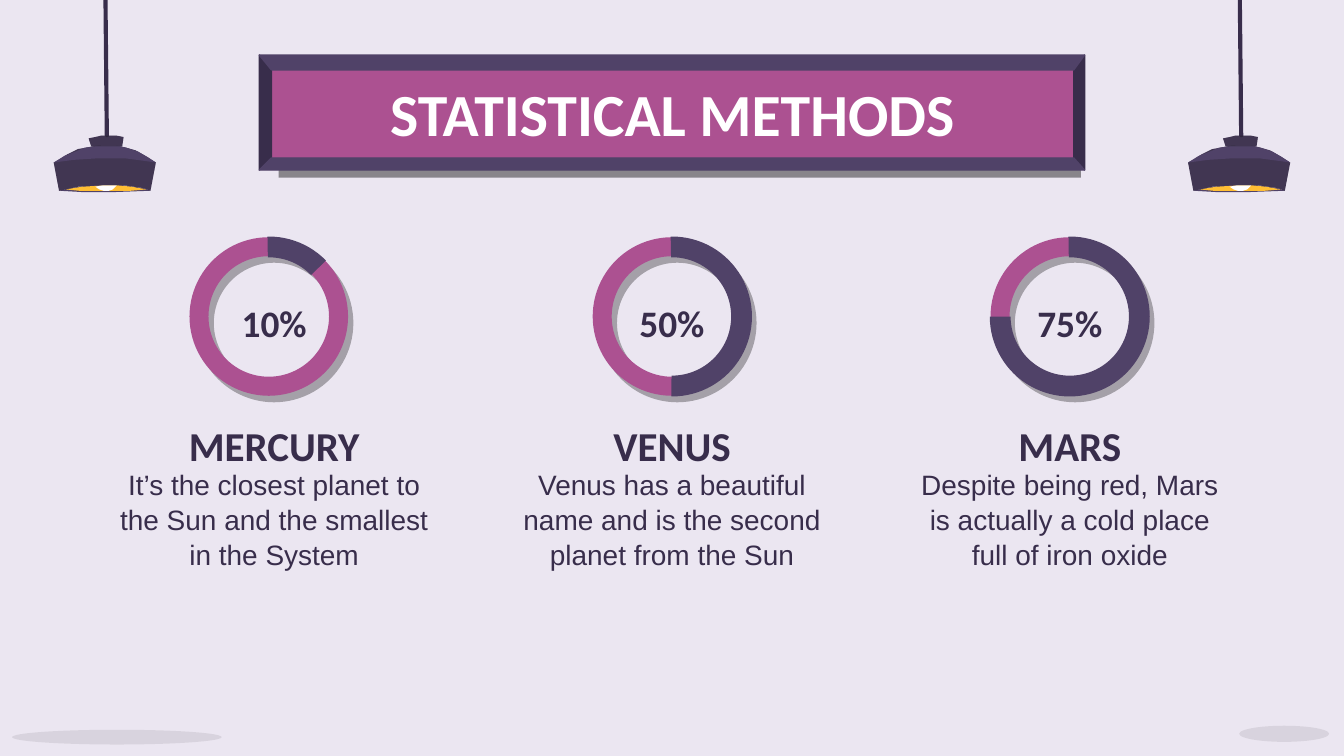
from lxml import etree
from pptx import Presentation
from pptx.dml.color import RGBColor
from pptx.enum.shapes import MSO_SHAPE
from pptx.enum.text import MSO_ANCHOR, MSO_AUTO_SIZE, PP_ALIGN
from pptx.oxml.ns import qn
from pptx.util import Inches, Pt

DONUT, ARC, OVAL = MSO_SHAPE.DONUT, MSO_SHAPE.BLOCK_ARC, MSO_SHAPE.OVAL
CENTER, MIDDLE, NO_FIT = PP_ALIGN.CENTER, MSO_ANCHOR.MIDDLE, MSO_AUTO_SIZE.NONE
TITLE_ONLY = 5
COLUMNS = 100
HEADING, BODY = "Calibri", "Arial"
COLORS = {"paper": "EBE6F1", "plum": "504268", "dark": "382D4B", "pink": "AC5191",
          "white": "FFFFFF", "amber": "FFBE34", "shade": "191919", "black": "000000"}

# Lamp outlines, in grid units, measured from the top of the cord.
SHADE = [(-0.3, 10.8), (-0.9, 10.9), (-1.4, 11), (-2, 11.1), (-2.8, 11.5), (-3.4, 11.9),
         (-3.8, 12.1), (-3.4, 14.2), (-2, 13.9), (-0.7, 13.8), (1.5, 13.8), (2.9, 14),
         (3.4, 14.2), (3.8, 12.1), (3, 11.6), (2.3, 11.2), (1.6, 11), (0.7, 10.8)]
RIM = [(0, 13.7), (-1.2, 13.8), (-2.6, 14), (-3.4, 14.2), (-1.6, 14.3), (0.6, 14.3),
       (3.4, 14.2), (2.9, 14), (1.5, 13.8), (0.5, 13.7)]
GLOW = [(0, 13.8), (-1.7, 13.9), (-2.9, 14.1), (-1.9, 14.2), (1.9, 14.2), (3.1, 14.1),
        (2, 13.9), (1, 13.8)]
CAP = [(0.2, 10.1), (-0.3, 10.1), (-0.7, 10.2), (-1.2, 10.3), (-1, 10.9), (1.3, 10.9),
       (1.4, 10.2), (0.9, 10.1)]
CORD = [(0, 0), (0.1, 10.1), (0.2, 10.1), (0.1, 0)]
BULB = [(-0.2, 13.8), (-0.7, 13.9), (-0.4, 14.1), (-0.1, 14.2), (0.3, 14.2), (0.6, 14.1),
        (0.9, 13.8)]
DOME = [(-0.2, 10.8), (-0.8, 10.9), (-1.5, 11), (-2.2, 11.3), (-3, 11.6), (-3.8, 12.1),
        (-2.3, 11.9), (-0.7, 11.8), (1.6, 11.8), (3.1, 12), (3.8, 12.1), (3.2, 11.7),
        (2.5, 11.3), (1.6, 11), (0.8, 10.8)]

# Name, text, share shown, sweep in degrees, ring centre.
PLANETS = [
    ("MERCURY", "It’s the closest planet to the Sun and the smallest in the System",
     "10%", 46.5, 20),
    ("VENUS", "Venus has a beautiful name and is the second planet from the Sun",
     "50%", 181.4, 50),
    ("MARS", "Despite being red, Mars is actually a cold place full of iron oxide",
     "75%", 270.9, 79.6),
]


def rgb(name):
    return RGBColor.from_string(COLORS[name])


class Board:
    """Style and current slide; lengths are squares of a 100-column grid."""

    def __init__(self, prs):
        self.unit = prs.slide_width / COLUMNS
        self.slide = prs.slides.add_slide(prs.slide_layouts[TITLE_ONLY])
        self.shapes = self.slide.shapes
        fill = self.slide.background.fill
        fill.solid()
        fill.fore_color.rgb = rgb("paper")

    def grid(self, *lengths):
        return [round(n * self.unit) for n in lengths]

    def style(self, sp, fill, alpha=None, line=None, shadow=None):
        """Shadow is (opacity in percent, distance in points, angle in degrees)."""
        sp.fill.solid()
        sp.fill.fore_color.rgb = rgb(fill)
        if alpha:
            clr = sp._element.spPr.find(qn("a:solidFill"))[0]
            etree.SubElement(clr, qn("a:alpha"), val=str(alpha * 1000))
        if line:
            sp.line.color.rgb = rgb(fill)
            sp.line.width = Pt(line)
        else:
            sp.line.fill.background()
        sp.shadow.inherit = False
        if shadow:
            opacity, distance, angle = shadow
            effects = sp._element.spPr.find(qn("a:effectLst"))
            outer = etree.SubElement(effects, qn("a:outerShdw"), blurRad="0",
                                     dist=str(int(Pt(distance))), dir=str(angle * 60000),
                                     algn="bl", rotWithShape="0")
            clr = etree.SubElement(outer, qn("a:srgbClr"), val=COLORS["black"])
            etree.SubElement(clr, qn("a:alpha"), val=str(opacity * 1000))

    def shape(self, kind, box, fill, adjust=(), **style):
        sp = self.shapes.add_shape(kind, *self.grid(*box))
        for i, value in enumerate(adjust):
            sp.adjustments[i] = value
        self.style(sp, fill, **style)

    def outline(self, points, fill, dx=0, **style):
        start, *rest = [self.grid(x + dx, y) for x, y in points]
        builder = self.shapes.build_freeform(*start, scale=1.0)
        builder.add_line_segments(rest, close=True)
        self.style(builder.convert_to_shape(), fill, **style)

    def set_text(self, sp, text, size, color="dark", font=HEADING, spacing=1.0):
        tf = sp.text_frame
        tf.word_wrap = True
        tf.auto_size = NO_FIT
        tf.vertical_anchor = MIDDLE
        tf.margin_left = tf.margin_right = tf.margin_top = tf.margin_bottom = Inches(0.1)
        p = tf.paragraphs[0]
        p.text = text
        p.alignment = CENTER
        p.line_spacing = spacing
        p.font.name = font
        p.font.size = Pt(size)
        p.font.bold = font == HEADING
        p.font.color.rgb = rgb(color)

    def text(self, box, text, size, **style):
        self.set_text(self.shapes.add_textbox(*self.grid(*box)), text, size, **style)

    def title(self, box, text, size, color):
        sp = self.shapes.title
        sp.left, sp.top, sp.width, sp.height = self.grid(*box)
        self.set_text(sp, text, size, color)
        sp._element.getparent().append(sp._element)  # in front of the banner

    def lamp(self, x):
        for points, fill in ((SHADE, "plum"), (RIM, "plum"), (GLOW, "amber"), (CAP, "plum")):
            self.outline(points, fill, x)
        self.outline(CORD, "dark", x, line=1.5)
        self.outline(BULB, "white", x)
        self.outline(SHADE, "shade", x, alpha=27)
        self.outline(DOME, "plum", x)
        self.outline(CAP, "shade", x, alpha=27)

    def banner(self, outer, inner):
        """Bevelled frame between two rectangles given as left, top, right, bottom."""
        def corners(left, top, right, bottom):
            return [(left, top), (right, top), (right, bottom), (left, bottom)]

        out, inn = corners(*outer), corners(*inner)
        self.outline(inn, "pink", shadow=(41, 11.2, 70))
        for side, fill in ((3, "dark"), (1, "dark"), (2, "plum"), (0, "plum")):
            end = (side + 1) % 4
            self.outline([out[side], out[end], inn[end], inn[side]], fill, line=0.75)

    def ring(self, cx, cy, sweep):
        """Donut with an arc that runs clockwise from the top."""
        start = 269.06
        per_degree = 0.6  # 60000ths of a degree against 100000ths
        self.shape(DONUT, (cx - 5.9, cy - 5.9, 11.8, 11.8), "pink", [0.12],
                   shadow=(30, 4.5, 51))
        self.shape(ARC, (cx - 5.95, cy - 5.95, 11.9, 11.9), "plum",
                   [start * per_degree, (start + sweep) % 360 * per_degree, 0.13])

    def planet(self, cx, name, about, share, sweep, ring_x):
        self.ring(ring_x, 23.55, sweep)
        self.text((cx - 5.05, 22, 10.1, 4), share, 20)
        self.text((cx - 12.6, 31.1, 25.2, 4), name, 22)
        self.text((cx - 12.6, 34.9, 25.2, 7.4), about, 15, font=BODY, spacing=1.04)


def main():
    prs = Presentation()
    prs.slide_width = Inches(10)
    prs.slide_height = prs.slide_width * 9 // 16
    board = Board(prs)
    for x in (92.2, 7.8):
        board.lamp(x)
    for box in ((0.9, 54.3, 15.6, 1.1), (92.2, 54, 6.7, 1.2)):
        board.shape(OVAL, box, "black", alpha=8)
    board.banner((19.3, 4.1, 80.7, 12.65), (20.2, 5.2, 79.9, 11.75))
    board.title((7.9, 5.9, 84.3, 5), "STATISTICAL METHODS", 32, "white")
    for i, planet in enumerate(PLANETS):
        board.planet(20.4 + 29.6 * i, *planet)
    prs.save("out.pptx")


if __name__ == "__main__":
    main()
